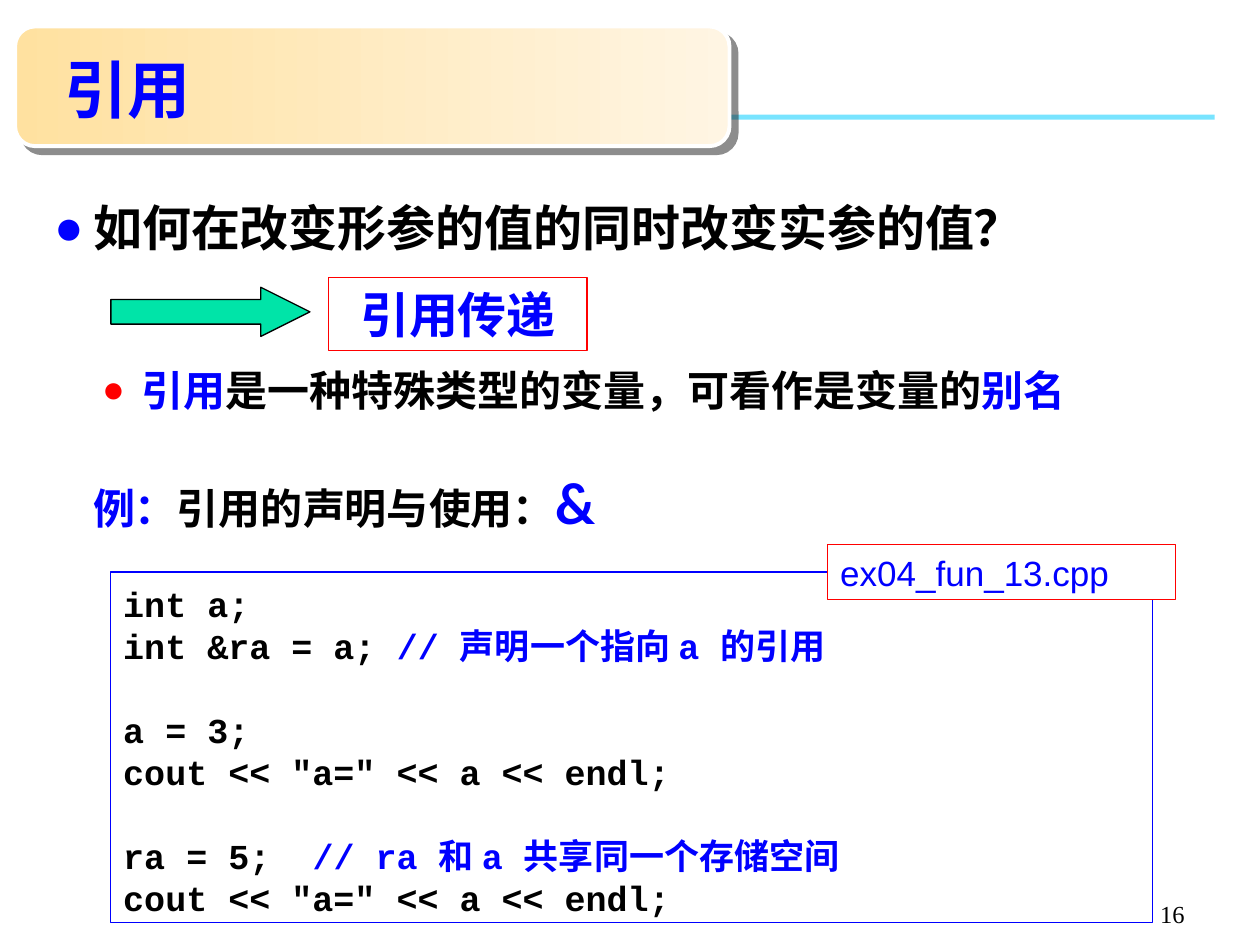
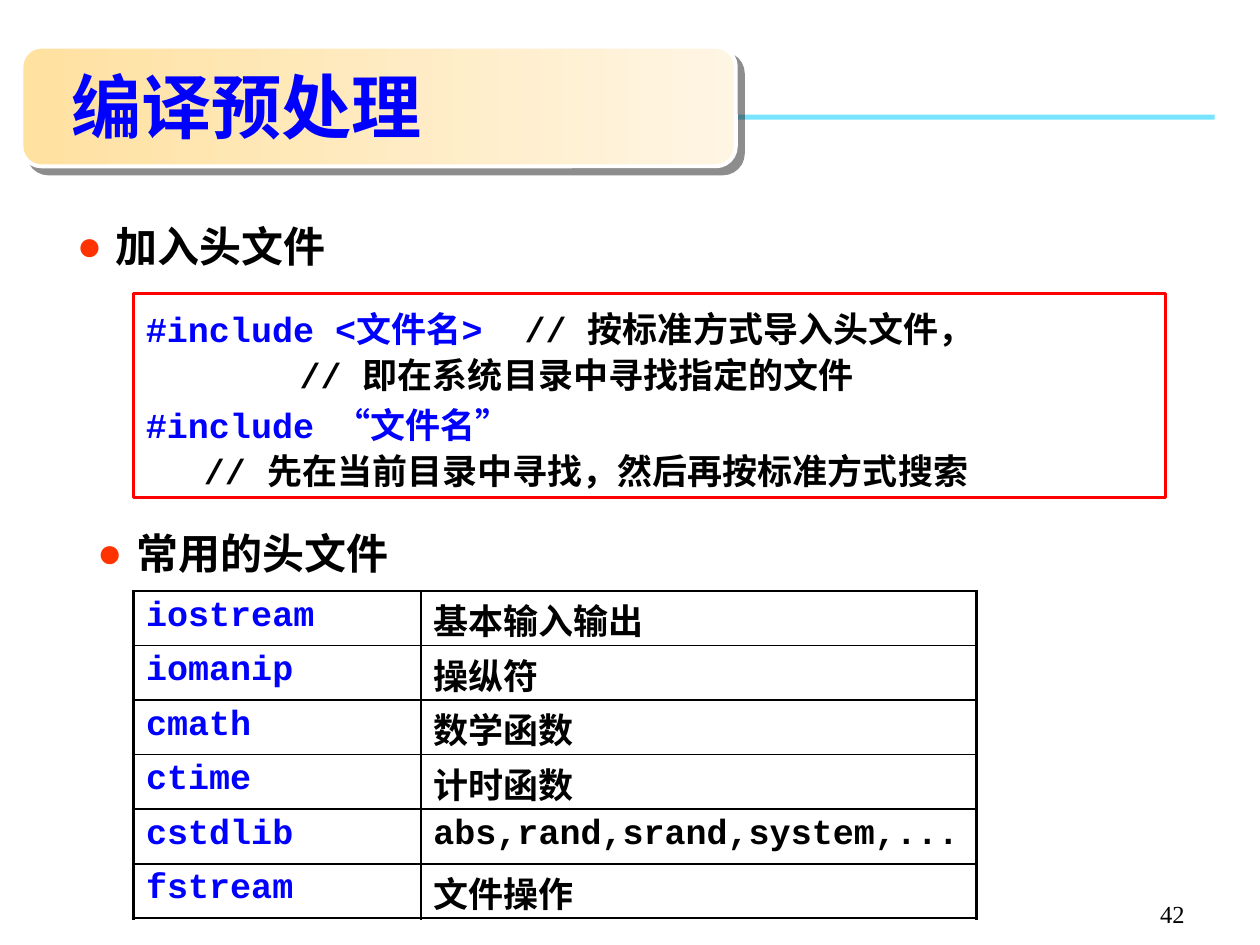
"""Build two lecture slides on C++ references and preprocessing."""
import dataclasses

import lxml.etree
import pptx
import pptx.dml.color
import pptx.enum.shapes
import pptx.enum.text
import pptx.oxml.ns
import pptx.util

Inches = pptx.util.Inches
Pt = pptx.util.Pt
qn = pptx.oxml.ns.qn
SHAPE = pptx.enum.shapes.MSO_SHAPE
ALIGN = pptx.enum.text.PP_ALIGN
ANCHOR = pptx.enum.text.MSO_ANCHOR


@dataclasses.dataclass(frozen=True)
class Theme:
    """Colours, fonts and type sizes of the deck."""
    blue: str = "0000FF"
    black: str = "000000"
    red: str = "FF0000"
    orange: str = "FF3300"
    white: str = "FFFFFF"
    green: str = "00E4A8"
    rule: str = "78E4FF"
    warm: str = "FFE1A0"
    cream: str = "FFF5E3"
    shade: str = "1C1C1C"
    cjk: str = "Noto Sans CJK SC"
    sans: str = "Lato"
    serif: str = "Times New Roman"
    mono: str = "Courier New"
    label: str = "Arial"
    small: int = 14
    code: int = 20
    item: int = 24
    lead: int = 28
    sign: int = 32


T = Theme()


def tint(text):
    """Turn a hex string into a colour."""
    return pptx.dml.color.RGBColor.from_string(text)


def node(parent, tag, **attrs):
    """Append a drawing element."""
    return lxml.etree.SubElement(parent, qn("a:" + tag), attrs)


def place(shape, box):
    """Move a shape to left, top, width and height in inches."""
    shape.left, shape.top, shape.width, shape.height = map(Inches, box)


def write(para, runs, font, size, bold=True):
    """Add runs of text, colour and optional size to a paragraph."""
    for text, color, *own in runs:
        run = para.add_run()
        run.text = text
        run.font.name = font
        run.font.size = Pt(own[0] if own else size)
        run.font.bold = bold
        run.font.color.rgb = tint(color)
        node(run.font._element, "ea", typeface=T.cjk)


def setup(shape, anchor=ANCHOR.TOP, top=0.05, bottom=0.05):
    """Wrap the text of a shape and return its frame."""
    frame = shape.text_frame
    frame.word_wrap = True
    frame.auto_size = pptx.enum.text.MSO_AUTO_SIZE.NONE
    frame.vertical_anchor = anchor
    frame.margin_top, frame.margin_bottom = Inches(top), Inches(bottom)
    return frame


def draw(slide, kind, box, fill=None, line=None, width=0.75):
    """Add a flat preset shape."""
    shape = slide.shapes.add_shape(kind, *map(Inches, box))
    shape.shadow.inherit = False
    if fill:
        shape.fill.solid()
        shape.fill.fore_color.rgb = tint(fill)
    else:
        shape.fill.background()
    if line:
        shape.line.color.rgb = tint(line)
        shape.line.width = Pt(width)
    else:
        shape.line.fill.background()
    return shape


def banner(slide, box):
    """Put the ruled line and the title band behind everything."""
    rule = draw(slide, SHAPE.RECTANGLE, (0.35, 0.91, 9.29, 0.04), T.rule)
    band = draw(slide, SHAPE.ROUNDED_RECTANGLE, box, T.warm, T.white, 2.25)
    band.fill.gradient()
    band.fill.gradient_angle = 0
    for stop, color in zip(band.fill.gradient_stops, (T.warm, T.cream)):
        stop.color.rgb = tint(color)
    effect = band._element.spPr.find(qn("a:effectLst"))
    cast = node(effect, "outerShdw", dist=str(Pt(5.7)), dir="2700000",
                algn="ctr", rotWithShape="0")
    node(node(cast, "srgbClr", val=T.shade), "alpha", val="50000")
    tree = rule._element.getparent()
    tree.insert(2, rule._element)
    tree.insert(3, band._element)


def start(deck, band, title, box, size, number):
    """Add a slide with its band, title and page number."""
    slide = deck.slides.add_slide(deck.slide_layouts[3])
    banner(slide, band)
    head = slide.shapes.title
    place(head, box)
    para = setup(head, ANCHOR.MIDDLE, 0, 0).paragraphs[0]
    para.alignment = ALIGN.LEFT
    write(para, [(title, T.blue)], T.cjk, size)
    page = (7.42, 6.92, 2.08, 0.5)
    note(slide, page, [(number, T.black)], T.serif, T.small,
         ANCHOR.BOTTOM, ALIGN.RIGHT, False)
    return slide


def note(slide, box, runs, font, size, anchor=ANCHOR.TOP,
         align=ALIGN.LEFT, bold=True):
    """Add a plain text box with one paragraph."""
    shape = slide.shapes.add_textbox(*map(Inches, box))
    para = setup(shape, anchor).paragraphs[0]
    para.alignment = align
    write(para, runs, font, size, bold)


def bullet(slide, index, box, runs, font, size, dot, scale=100,
           anchor=ANCHOR.TOP):
    """Fill a body placeholder with one bulleted line."""
    shape = slide.placeholders[index]
    place(shape, box)
    para = setup(shape, anchor).paragraphs[0]
    para.space_before = Pt(0)
    props = para._p.get_or_add_pPr()
    props.set("marL", str(Inches(0.31)))
    props.set("indent", str(Inches(-0.31)))
    node(node(props, "buClr"), "srgbClr", val=dot)
    node(props, "buSzPct", val=str(scale * 1000))
    node(props, "buChar", char="●")
    write(para, runs, font, size)


def tag(slide, box, runs, font, size, align, fill=None, bold=True):
    """Add a red framed label."""
    shape = draw(slide, SHAPE.RECTANGLE, box, fill, T.red)
    para = setup(shape, ANCHOR.MIDDLE).paragraphs[0]
    para.alignment = align
    write(para, runs, font, size, bold)


def listing(slide, box, rows, line, width, pitch):
    """Add framed code, each row an indent, a gap and its runs."""
    shape = draw(slide, SHAPE.RECTANGLE, box, None, line, width)
    frame = setup(shape, top=0.08, bottom=0)
    for i, (indent, gap, runs) in enumerate(rows):
        para = frame.add_paragraph() if i else frame.paragraphs[0]
        para.alignment = ALIGN.LEFT
        para.line_spacing = Pt(pitch)
        para.space_before = Pt(gap)
        para.font.size = Pt(T.code)
        para._p.get_or_add_pPr().set("marL", str(Inches(indent)))
        write(para, runs, T.mono, T.code)


def frame(cell, row, col, last):
    """Draw cell borders, thicker on the table's outer edge."""
    props = cell._tc.get_or_add_tcPr()
    edges = {"lnL": col == 0, "lnR": col == 1,
             "lnT": row == 0, "lnB": row == last}
    for name, outer in edges.items():
        edge = node(props, name, w=str(Pt(1.5 if outer else 1)))
        node(node(edge, "solidFill"), "srgbClr", val=T.black)


def grid(slide, box, widths, rows):
    """Add the two-column table of headers."""
    table = slide.shapes.add_table(len(rows), 2, *map(Inches, box)).table
    table.first_row = table.horz_banding = False
    for col, width in zip(table.columns, widths):
        col.width = Inches(width)
    for r, row in enumerate(rows):
        for c, (text, color) in enumerate(zip(row, (T.blue, T.black))):
            cell = table.cell(r, c)
            frame(cell, r, c, len(rows) - 1)
            cell.fill.background()
            plain = text.isascii()
            cell.margin_top = Inches(0.05 if plain else 0.03)
            cell.margin_bottom = 0
            para = cell.text_frame.paragraphs[0]
            para.line_spacing = Pt(22.5 if plain else 28.5)
            write(para, [(text, color)], T.mono, T.code)


def refs(deck):
    """Build the slide on references."""
    slide = start(deck, (0.12, 0.21, 5.67, 0.95), "引用",
                  (0.41, 0.35, 4.25, 0.71), 36, "16")
    bullet(slide, 1, (0.33, 1.5, 9.21, 0.61),
           [("如何在改变形参的值的同时改变实参的值？", T.black)],
           T.serif, T.lead, T.blue, anchor=ANCHOR.MIDDLE)
    bullet(slide, 2, (0.71, 2.84, 9.29, 0.54),
           [("引用", T.blue),
            ("是一种特殊类型的变量，可看作是变量的", T.black),
            ("别名", T.blue)], T.sans, T.item, T.red, 90)
    tag(slide, (2.61, 2.2, 2.05, 0.58), [("引用传递", T.blue)],
        T.serif, T.lead, ALIGN.CENTER)
    arrow = draw(slide, SHAPE.RIGHT_ARROW, (0.88, 2.28, 1.58, 0.39),
                 T.green, T.black)
    arrow.adjustments[1] = 1
    note(slide, (0.64, 3.67, 5.04, 0.63),
         [("例：", T.blue), ("引用的声明与使用：", T.black),
          ("&", T.blue, T.sign)], T.sans, T.item)
    show = 'cout << "a=" << a << endl;'
    code = [[("int a;", T.black)],
            [("int &ra = a; ", T.black),
             ("// 声明一个指向 a 的引用", T.blue)],
            [],
            [("a = 3;", T.black)],
            [(show, T.black)],
            [],
            [("ra = 5;  ", T.black),
             ("// ra 和 a 共享同一个存储空间", T.blue)],
            [(show, T.black)]]
    listing(slide, (0.88, 4.54, 8.27, 2.78),
            [(0, 0, runs) for runs in code], T.blue, 0.75, 24)
    tag(slide, (6.57, 4.32, 2.76, 0.44), [("ex04_fun_13.cpp", T.blue)],
        T.label, T.code, ALIGN.LEFT, T.white, False)


def heads(deck):
    """Build the slide on header files."""
    slide = start(deck, (0.17, 0.37, 5.67, 0.95), "编译预处理",
                  (0.47, 0.45, 5.36, 0.77), 40, "42")
    listing(slide, (1.06, 2.33, 8.19, 1.62),
            [(0, 2, [("#include <文件名>  ", T.blue),
                     ("// 按标准方式导入头文件，", T.black)]),
             (1.22, 0, [("// 即在系统目录中寻找指定的文件", T.black)]),
             (0, 2, [("#include “文件名”", T.blue)]),
             (0.46, 0, [("// 先在当前目录中寻找，然后再按标准方式搜索",
                         T.black)])], T.red, 1.5, 26.3)
    items = [((0.51, 1.7, 9.14, 0.5), "加入头文件"),
             ((0.67, 4.14, 3.07, 0.5), "常用的头文件")]
    for i, (box, text) in enumerate(items, 1):
        bullet(slide, i, box, [(text, T.black)], T.sans, T.item, T.orange)
    grid(slide, (1.06, 4.69, 6.69, 2.6), (2.28, 4.41),
         [("iostream", "基本输入输出"), ("iomanip", "操纵符"),
          ("cmath", "数学函数"), ("ctime", "计时函数"),
          ("cstdlib", "abs,rand,srand,system,..."),
          ("fstream", "文件操作")])


def main():
    """Build and save the deck."""
    deck = pptx.Presentation()
    deck.slide_width, deck.slide_height = Inches(10), Inches(7.5)
    refs(deck)
    heads(deck)
    deck.save("out.pptx")


if __name__ == "__main__":
    main()
